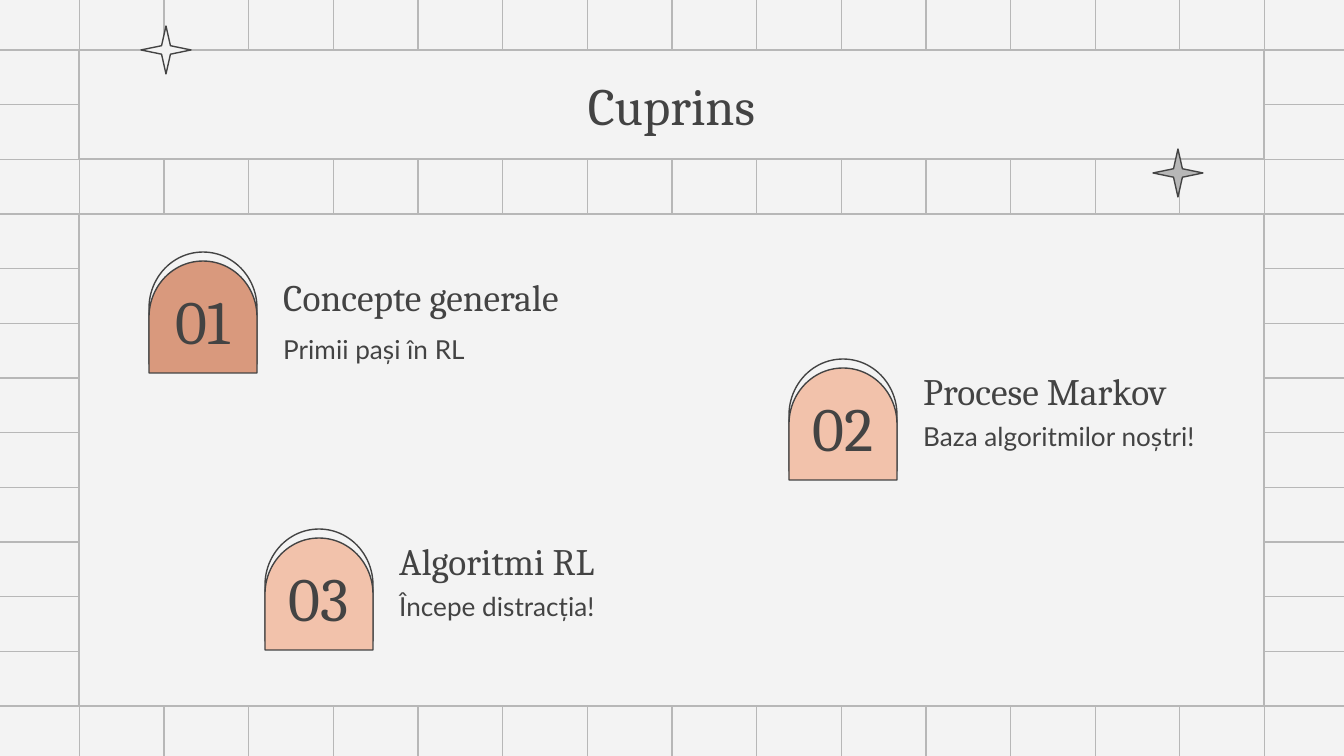
from collections import namedtuple
from dataclasses import dataclass

from lxml import etree
from pptx import Presentation
from pptx import util as u
from pptx.dml.color import RGBColor
from pptx.enum import shapes, text
from pptx.oxml import ns

SLIDE_WIDTH, SLIDE_HEIGHT = 1344, 756
EMU_PER_PX = u.Inches(10) / SLIDE_WIDTH

Box = namedtuple("Box", "left top width height")


@dataclass(frozen=True)
class Theme:
    paper: str = "F3F3F3"
    grid: str = "B7B7B7"
    ink: str = "434343"
    terracotta: str = "D9997D"
    peach: str = "F2C2AB"
    serif: str = "Cambria"
    sans: str = "Lato"
    title_size: int = 28
    number_size: int = 33
    heading_size: int = 20
    body_size: int = 14
    line_width: float = 0.75


THEME = Theme()


@dataclass(frozen=True)
class Entry:
    number: str
    heading: str
    body: str
    fill: str
    box: Box
    heading_offset: int = 5
    body_offset: int = 48


ENTRIES = [
    Entry("01", "Concepte generale", "Primii pași în RL", THEME.terracotta,
          Box(149, 252, 552, 121), heading_offset=18, body_offset=68),
    Entry("02", "Procese Markov", "Baza algoritmilor noștri!", THEME.peach,
          Box(789, 359, 538, 121)),
    Entry("03", "Algoritmi RL", "Începe distracția!", THEME.peach,
          Box(265, 529, 538, 121)),
]


def px(length):
    return u.Emu(round(length * EMU_PER_PX))


def color(value):
    return RGBColor.from_string(value)


def add_line(slide, x1, y1, x2, y2):
    line = slide.shapes.add_connector(
        shapes.MSO_CONNECTOR.STRAIGHT, px(x1), px(y1), px(x2), px(y2))
    line.line.color.rgb = color(THEME.grid)
    line.line.width = u.Pt(THEME.line_width)
    etree.SubElement(line._element.spPr, ns.qn("a:effectLst"))


def add_outlined(slide, kind, box, fill, line):
    shape = slide.shapes.add_shape(kind, *map(px, box))
    shape.shadow.inherit = False
    shape.fill.solid()
    shape.fill.fore_color.rgb = color(fill)
    shape.line.color.rgb = color(line)
    shape.line.width = u.Pt(THEME.line_width)
    return shape


def set_text(shape, words, size, font, align=text.PP_ALIGN.LEFT,
             anchor=text.MSO_ANCHOR.MIDDLE):
    frame = shape.text_frame
    frame.text = words
    frame.word_wrap = True
    frame.vertical_anchor = anchor
    frame.margin_left = frame.margin_right = u.Inches(0.1)
    frame.margin_top = frame.margin_bottom = u.Inches(0.1)
    paragraph = frame.paragraphs[0]
    paragraph.alignment = align
    run = paragraph.runs[0]
    run.font.size = u.Pt(size)
    run.font.name = font
    run.font.color.rgb = color(THEME.ink)


def add_text(slide, box, *args, **options):
    set_text(slide.shapes.add_textbox(*map(px, box)), *args, **options)


def add_grid(slide, box, columns=14, rows=12, overhang=5):
    """Rule a grid over the box from its centre, each line in two halves."""
    center_x = box.left + box.width / 2
    center_y = box.top + box.height / 2
    column_step, row_step = 1185 / columns, 656 / rows
    x_ends = box.left - overhang, center_x, box.left + box.width + overhang
    y_ends = box.top - overhang, center_y, box.top + box.height + overhang
    for column in range(-columns // 2, columns // 2 + 1):
        x = center_x + column * column_step
        for start, end in zip(y_ends, y_ends[1:]):
            add_line(slide, x, start, x, end)
    for row in range(-rows // 2, rows // 2 + 1):
        y = center_y + row * row_step
        for start, end in zip(x_ends, x_ends[1:]):
            add_line(slide, start, y, end, y)


def add_panel(slide, box):
    return add_outlined(slide, shapes.MSO_SHAPE.RECTANGLE, box,
                        THEME.paper, THEME.grid)


def add_title(slide, box, words):
    set_text(add_panel(slide, box), words, THEME.title_size, THEME.serif,
             align=text.PP_ALIGN.CENTER)


def add_arch(slide, box, fill):
    """Turn a delay symbol upright so that it fills the box."""
    turned = Box(box.left + (box.width - box.height) / 2,
                 box.top + (box.height - box.width) / 2,
                 box.height, box.width)
    arch = add_outlined(slide, shapes.MSO_SHAPE.FLOWCHART_DELAY, turned,
                        fill, THEME.ink)
    arch.rotation = 270


def add_entry(slide, entry):
    left, top, width, height = entry.box
    arch_width, arch_height = 108, 112
    for drop, fill in ((0, THEME.paper), (height - arch_height, entry.fill)):
        add_arch(slide, Box(left, top + drop, arch_width, arch_height), fill)
    add_text(slide, Box(left - 8, top + 32, arch_width + 16, 72),
             entry.number, THEME.number_size, THEME.serif,
             align=text.PP_ALIGN.CENTER)
    text_left, text_width = left + 121, width - 121
    add_text(slide, Box(text_left, top + entry.heading_offset, text_width, 54),
             entry.heading, THEME.heading_size, THEME.serif)
    add_text(slide, Box(text_left, top + entry.body_offset, text_width, 54),
             entry.body, THEME.body_size, THEME.sans,
             anchor=text.MSO_ANCHOR.TOP)


def add_star(slide, box, fill):
    star = add_outlined(slide, shapes.MSO_SHAPE.STAR_4_POINT, box,
                        fill, THEME.ink)
    star.adjustments[0] = 0.125


def add_contents_slide(presentation):
    slide = presentation.slides.add_slide(presentation.slide_layouts[6])
    slide.background.fill.solid()
    slide.background.fill.fore_color.rgb = color(THEME.paper)
    add_grid(slide, Box(0, 0, SLIDE_WIDTH, SLIDE_HEIGHT))
    add_panel(slide, Box(79, 214, 1185, 492))
    add_title(slide, Box(79, 50, 1185, 109), "Cuprins")
    for entry in ENTRIES:
        add_entry(slide, entry)
    add_star(slide, Box(1153, 149, 50, 48), THEME.grid)
    add_star(slide, Box(141, 26, 50, 48), THEME.paper)


def main():
    presentation = Presentation()
    presentation.slide_width = px(SLIDE_WIDTH)
    presentation.slide_height = px(SLIDE_HEIGHT)
    add_contents_slide(presentation)
    presentation.save("out.pptx")


if __name__ == "__main__":
    main()
